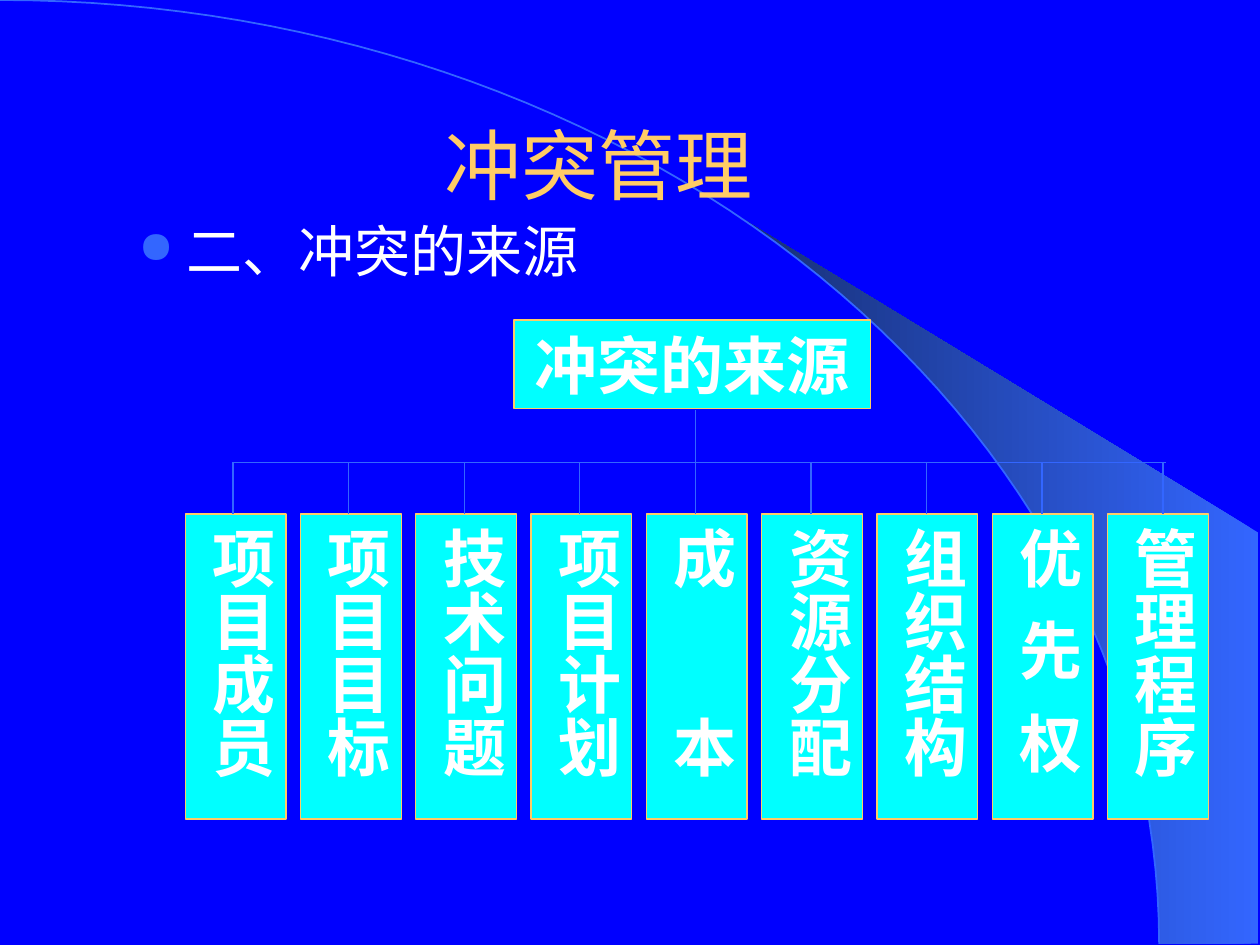
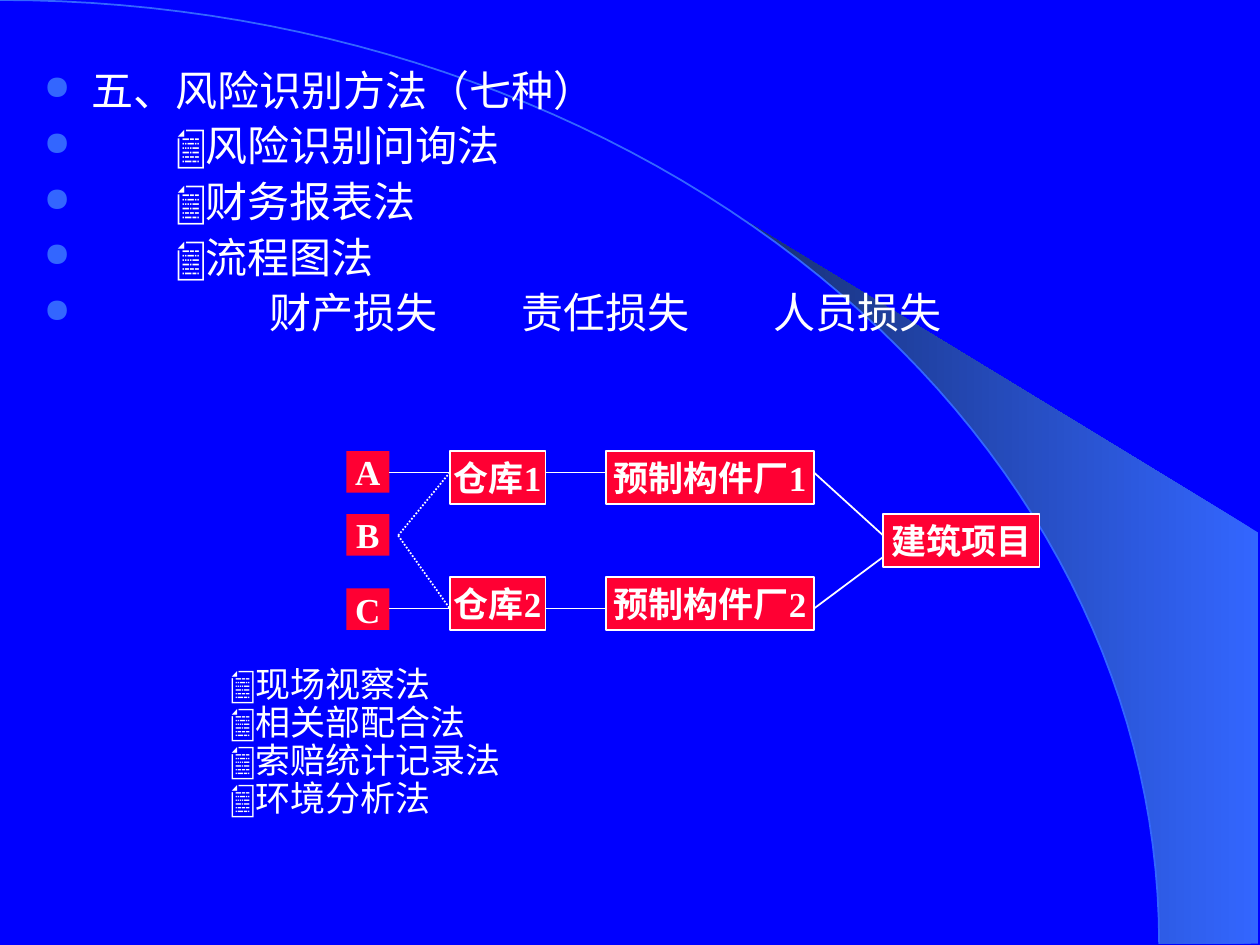
import math

import pptx
import pptx.dml.color
import pptx.enum.dml
import pptx.enum.shapes
import pptx.enum.text
import pptx.oxml.ns
import pptx.util
from pptx.util import Inches

RGBColor = pptx.dml.color.RGBColor
BACKGROUND = RGBColor(0x00, 0x00, 0xFF)
ACCENT = RGBColor(0x33, 0x66, 0xFF)
SHADE = RGBColor(0x17, 0x2F, 0x75)
GOLD = RGBColor(0xFF, 0xCC, 0x66)
CYAN = RGBColor(0x00, 0xFF, 0xFF)
RED = RGBColor(0xFF, 0x00, 0x33)
WHITE = RGBColor(0xFF, 0xFF, 0xFF)

BODY_FONT = "Times New Roman"
TITLE_FONT = "Arial"
ICON_FONT = "Lato"
ICON = "📄"
ARC_WIDTH, ARC_HEIGHT = 9.2, 7.49
WEDGE_START = 0.695  # radians along the arc, measured from its top

CENTER = pptx.enum.text.PP_ALIGN.CENTER
MIDDLE = pptx.enum.text.MSO_ANCHOR.MIDDLE
DOTTED = pptx.enum.dml.MSO_LINE.ROUND_DOT


def arc_points(start):
    """Points on the quarter ellipse from an angle to its lower right end."""
    steps = 60
    angles = [start + (math.pi / 2 - start) * i / steps for i in range(steps + 1)]
    return [(ARC_WIDTH * math.sin(a), ARC_HEIGHT * (1 - math.cos(a))) for a in angles]


class SlideBuilder:
    def __init__(self, deck):
        self.deck = deck
        self.page = None

    def new_page(self):
        self.page = self.deck.slides.add_slide(self.deck.slide_layouts[6])
        fill = self.page.background.fill
        fill.solid()
        fill.fore_color.rgb = BACKGROUND

        wedge = self.outline(arc_points(WEDGE_START) + [(9.99, 7.49), (9.99, 4.23)], True)
        wedge.fill.gradient()
        wedge.fill.gradient_angle = 180
        for stop, color, position in zip(wedge.fill.gradient_stops, (ACCENT, SHADE), (0, 1)):
            stop.color.rgb = color
            stop.position = position
        wedge.line.fill.background()

        arc = self.outline(arc_points(0), False)
        arc.fill.background()
        arc.line.color.rgb = ACCENT
        arc.line.width = pptx.util.Pt(1)

    def outline(self, points, close):
        corners = [(Inches(x), Inches(y)) for x, y in points]
        builder = self.page.shapes.build_freeform(*corners[0])
        builder.add_line_segments(corners[1:], close=close)
        shape = builder.convert_to_shape()
        shape.shadow.inherit = False
        return shape

    def line(self, x1, y1, x2, y2, color, width=1, dash=None):
        connector = self.page.shapes.add_connector(
            pptx.enum.shapes.MSO_CONNECTOR.STRAIGHT,
            Inches(x1), Inches(y1), Inches(x2), Inches(y2))
        connector.line.color.rgb = color
        connector.line.width = pptx.util.Pt(width)
        if dash:
            connector.line.dash_style = dash
        properties = connector._element.spPr
        properties.append(properties.makeelement(pptx.oxml.ns.qn("a:effectLst"), {}))

    def text_box(self, left, top, width, height):
        box = self.page.shapes.add_textbox(
            Inches(left), Inches(top), Inches(width), Inches(height))
        box.text_frame.word_wrap = True
        return box.text_frame

    def title(self, text):
        frame = self.text_box(0.75, 0.67, 8, 1.25)
        frame.vertical_anchor = MIDDLE
        frame.text = text
        frame.paragraphs[0].alignment = CENTER
        self.format_runs(frame.paragraphs[0], 44, GOLD, font=TITLE_FONT)

    def format_runs(self, para, size, color=WHITE, bold=False, font=BODY_FONT):
        for span in para.runs:
            span.font.size = pptx.util.Pt(size)
            span.font.name = font
            span.font.bold = bold
            span.font.color.rgb = color

    def text_list(self, frame, items, size, bulleted, spacing=None, before=0):
        """Fill a frame with (text, indent, has_icon) items."""
        for index, (text, indent, has_icon) in enumerate(items):
            para = frame.paragraphs[0] if index == 0 else frame.add_paragraph()
            if index and before:
                para.space_before = pptx.util.Pt(before)
            if spacing:
                para.line_spacing = spacing[min(index, len(spacing) - 1)]
            self.indent(para, indent, bulleted)
            if has_icon:
                para.add_run().text = ICON
            para.add_run().text = text
            self.format_runs(para, size)
            if has_icon:
                para.runs[0].font.name = ICON_FONT

    def indent(self, para, indent, bulleted):
        properties = para._p.get_or_add_pPr()
        properties.set("marL", str(Inches(indent)))
        properties.set("indent", str(-Inches(indent) if bulleted else 0))
        if not bulleted:
            return

        def add(parent, tag, **attributes):
            child = parent.makeelement(pptx.oxml.ns.qn(tag), attributes)
            parent.append(child)
            return child

        add(add(properties, "a:buClr"), "a:srgbClr", val=str(ACCENT))
        add(properties, "a:buSzPct", val="80000")
        add(properties, "a:buChar", char="●")

    def tab_stops(self, para, positions):
        properties = para._p.get_or_add_pPr()
        tabs = properties.makeelement(pptx.oxml.ns.qn("a:tabLst"), {})
        for position in positions:
            tabs.append(tabs.makeelement(
                pptx.oxml.ns.qn("a:tab"), {"pos": str(Inches(position)), "algn": "l"}))
        properties.append(tabs)

    def box(self, text, left, top, width, height, fill, size, border=None, border_width=1):
        shape = self.page.shapes.add_shape(
            pptx.enum.shapes.MSO_SHAPE.RECTANGLE,
            Inches(left), Inches(top), Inches(width), Inches(height))
        shape.shadow.inherit = False
        shape.fill.solid()
        shape.fill.fore_color.rgb = fill
        if border is None:
            shape.line.fill.background()
        else:
            shape.line.color.rgb = border
            shape.line.width = pptx.util.Pt(border_width)
        frame = shape.text_frame
        frame.text = text
        frame.paragraphs[0].alignment = CENTER
        self.format_runs(frame.paragraphs[0], size, bold=True)
        return frame

    def source_box(self, text, left, top, width, height):
        frame = self.box(text, left, top, width, height, CYAN, 36, GOLD, 0.75)
        frame.vertical_anchor = pptx.enum.text.MSO_ANCHOR.TOP
        return frame

    def vertical_box(self, text, left, top, width, height, gap):
        """A box with upright stacked characters, gap points apart."""
        frame = self.source_box(text, left, top, width, height)
        frame.margin_left = frame.margin_right = Inches(0.05)
        frame.margin_top = frame.margin_bottom = Inches(0.1)
        frame._txBody.bodyPr.set("vert", "eaVert")
        if gap:
            para = frame.paragraphs[0]
            para.runs[0].text = text[:-1]
            para.add_run().text = text[-1]
            self.format_runs(para, 36, bold=True)
            para.runs[0].font._element.set("spc", str(gap * 100))

    def flow_box(self, text, left, top, width, height, border=WHITE):
        frame = self.box(text, left, top, width, height, RED, 20, border)
        frame.word_wrap = False
        frame.vertical_anchor = MIDDLE
        frame.margin_left = frame.margin_right = 0
        frame.margin_top = frame.margin_bottom = 0


def conflict_sources(builder):
    builder.new_page()
    builder.title("冲突管理")
    heading = builder.text_box(1, 1.67, 3.75, 0.67)
    builder.text_list(heading, [("二、冲突的来源", 0.38, False)], 32, True)

    builder.source_box("冲突的来源", 4.08, 2.54, 2.83, 0.7)
    sources = [("项目成员", 0), ("项目目标", 0), ("技术问题", 0), ("项目计划", 0),
               ("成本", 72), ("资源分配", 0), ("组织结构", 0), ("优先权", 17),
               ("管理程序", 0)]
    pitch = 7.32 / 8
    for index, (source, gap) in enumerate(sources):
        builder.vertical_box(source, 1.47 + index * pitch, 4.08, 0.8, 2.42, gap)

    drops = [1.85 + index * 6.42 / 7 for index in range(8)] + [9.23]
    for index, x in enumerate(drops):
        top = 3.25 if index == 4 else 3.67
        builder.line(x, 4.08, x, top, ACCENT, 0.75)
    builder.line(1.85, 3.67, 9.25, 3.67, ACCENT, 0.75)


def risk_identification(builder):
    builder.new_page()
    methods = builder.text_box(0.25, 0.42, 9.42, 2.42)
    builder.text_list(methods, [
        ("五、风险识别方法（七种）", 0.38, False),
        ("风险识别问询法", 1.05, True),
        ("财务报表法", 1.05, True),
        ("流程图法", 1.05, True),
        ("财产损失\t责任损失\t人员损失", 1.79, False),
    ], 24, True, spacing=(1.1, 0.9), before=6)
    builder.tab_stops(methods.paragraphs[-1], (3.79, 5.79))

    for number, top in ((1, 3.58), (2, 4.58)):
        builder.flow_box(f"仓库{number}", 3.57, top, 0.76, 0.42)
        builder.flow_box(f"预制构件厂{number}", 4.81, top, 1.65, 0.42)
    builder.flow_box("建筑项目", 7.01, 4.08, 1.24, 0.42)
    for supplier, top in (("A", 3.58), ("B", 4.08), ("C", 4.67)):
        builder.flow_box(supplier, 2.75, top, 0.34, 0.33, border=None)

    for y, project_y in ((3.75, 4.25), (4.83, 4.42)):
        builder.line(3.09, y, 3.57, y, WHITE)
        builder.line(4.33, y, 4.81, y, WHITE)
        builder.line(6.46, y, 7.01, project_y, WHITE)
        builder.line(3.16, 4.25, 3.57, y, WHITE, dash=DOTTED)

    more_methods = builder.text_box(1.17, 5.25, 8.42, 1.42)
    names = ("现场视察法", "相关部配合法", "索赔统计记录法", "环境分析法")
    builder.text_list(more_methods, [(name, 0.56, True) for name in names],
                      20, False, spacing=(0.9,))


def main():
    deck = pptx.Presentation()
    deck.slide_width = Inches(10)
    deck.slide_height = Inches(7.5)
    builder = SlideBuilder(deck)
    conflict_sources(builder)
    risk_identification(builder)
    deck.save("out.pptx")


if __name__ == "__main__":
    main()
